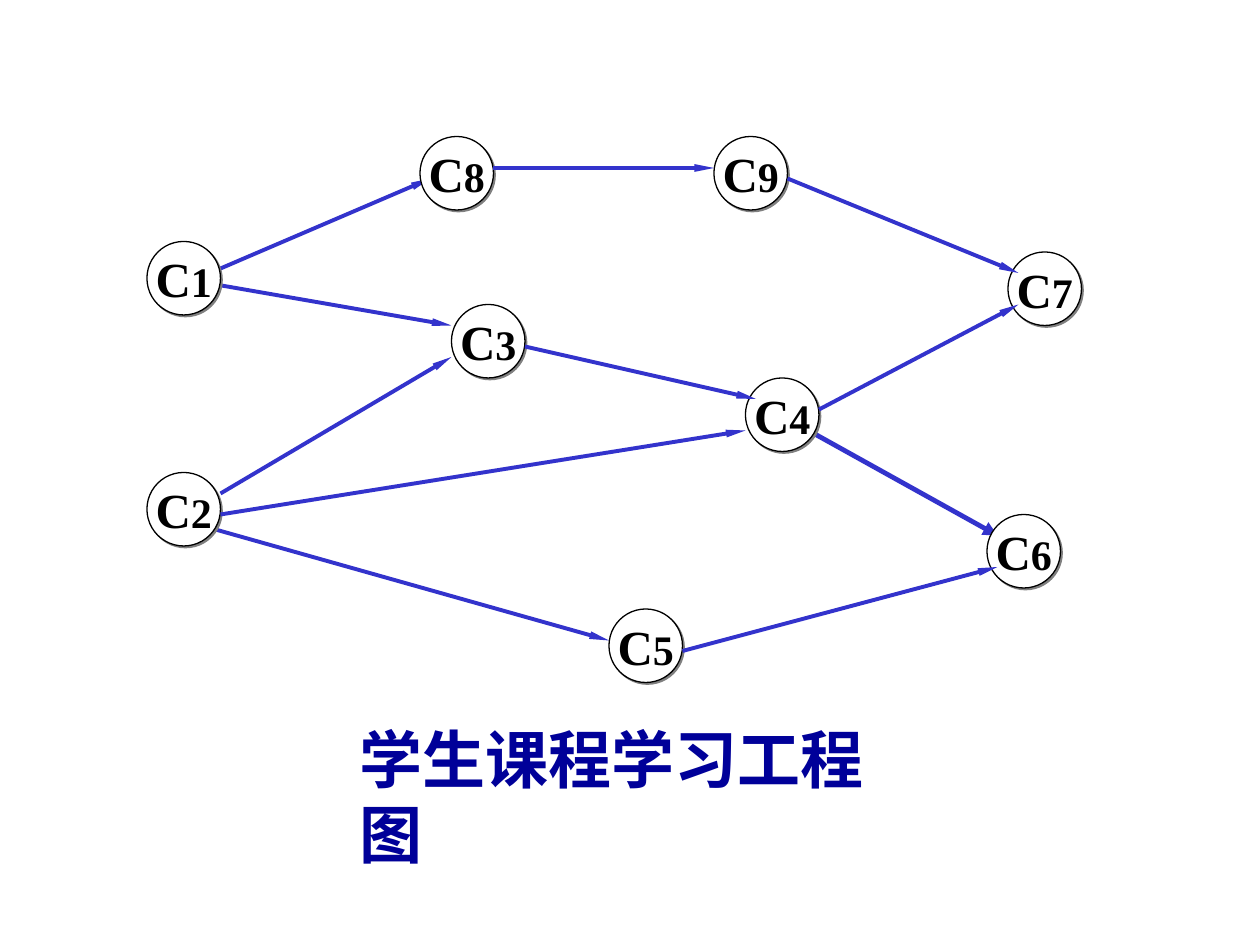
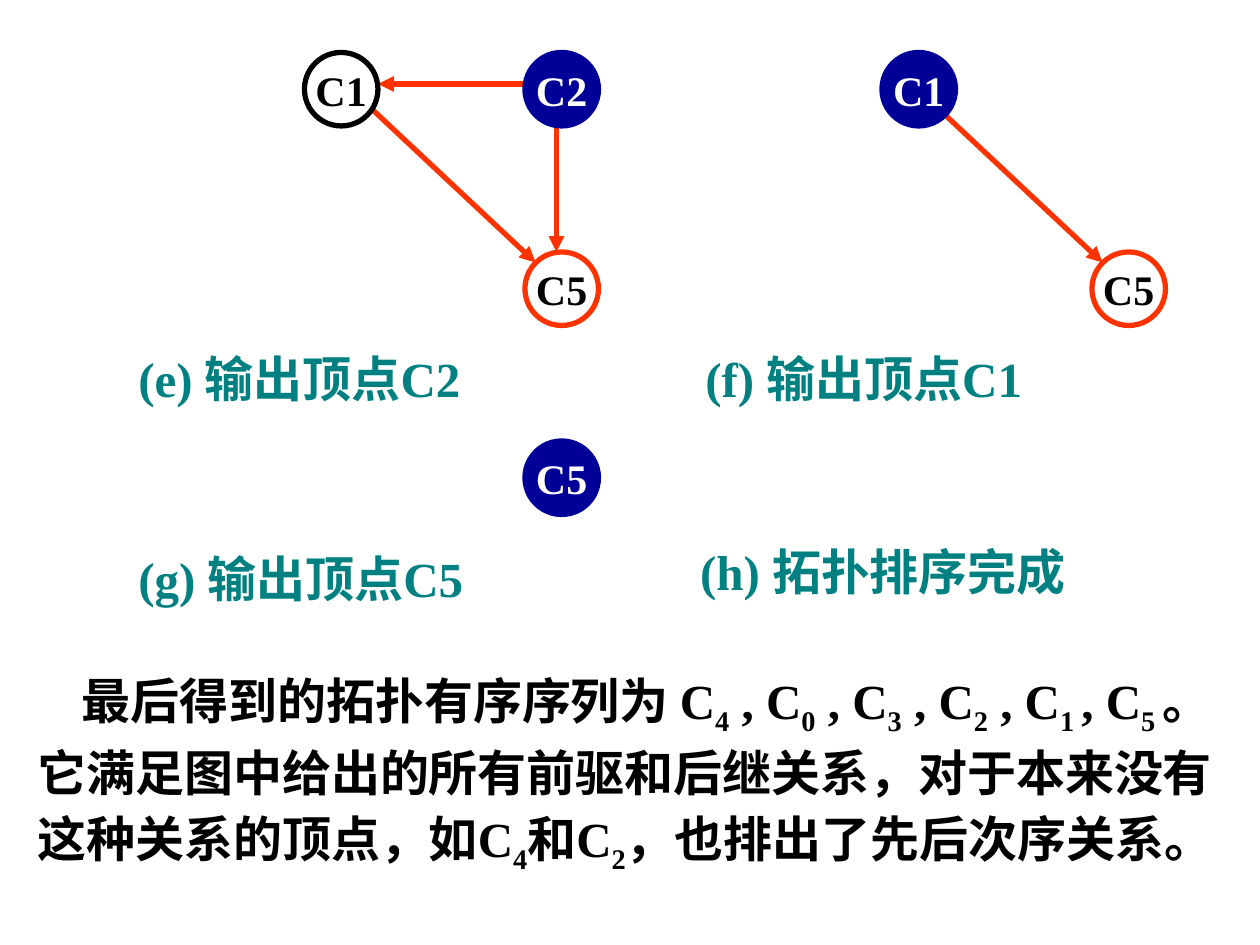
import pptx
import pptx.util
import pptx.dml.color
import pptx.enum.shapes
import pptx.enum.text
import pptx.oxml.ns
import lxml.etree

EMU_PER_PX = 7620
NODE_SIZE = 70
FONT = "Times New Roman"
COLOURS = {
    "white": "FFFFFF",
    "black": "000000",
    "navy": "000099",
    "blue": "3333CC",
    "red": "FF3300",
    "teal": "008080",
    "shadow": "808080",
}
NODE_STYLES = {
    "waiting": ("white", "black", "black"),
    "output": ("navy", "navy", "white"),
    "last": ("white", "red", "black"),
}
NARROW_HEAD = ("sm", "lg")
MEDIUM_HEAD = ("med", "med")

COURSES = {
    "C8": (260, 0),
    "C3": (290, 160),
    "C5": (440, 450),
    "C4": (570, 230),
    "C9": (540, 0),
    "C6": (800, 360),
    "C7": (820, 110),
    "C1": (0, 100),
    "C2": (0, 320),
}
HEAVY_LINK = (630, 280, 810, 380)
BACK_LINKS = [
    (50, 370, 440, 480),
    (70, 340, 290, 210),
    (60, 140, 290, 180),
    (60, 130, 270, 40),
]
FRONT_LINKS = [
    (330, 30, 540, 30),
    (360, 200, 580, 250),
    (70, 360, 570, 280),
    (610, 40, 830, 130),
    (640, 260, 830, 160),
    (510, 490, 810, 410),
]

C1_TO_C5 = (230, 50, 390, 200)
STEPS = [
    {
        "origin": (120, 50),
        "links": [(380, 30, 240, 30), (410, 70, 410, 190), C1_TO_C5],
        "nodes": [("C1", 170, 0, "waiting"), ("C2", 380, 0, "output"),
                  ("C5", 380, 190, "last")],
        "caption": ("(e) 输出顶点C2", 276, 353),
    },
    {
        "origin": (660, 50),
        "links": [C1_TO_C5],
        "nodes": [("C5", 380, 190, "last"), ("C1", 180, 0, "output")],
        "caption": ("(f) 输出顶点C1", 276, 348),
    },
    {
        "origin": (120, 420),
        "links": [],
        "nodes": [("C5", 380, 0, "output")],
        "caption": ("(g) 输出顶点C5", 96, 355),
    },
    {
        "origin": (655, 420),
        "links": [],
        "nodes": [],
        "caption": ("(h) 拓扑排序完成", 90, 383),
    },
]
CONCLUSION = [
    ("最后得到的拓扑有序序列为 C", "4"),
    (" , C", "0"),
    (" , C", "3"),
    (" , C", "2"),
    (" , C", "1 "),
    (", C", "5 "),
    ("。它满足图中给出的所有前驱和后继关系，对于本来没有这种关系的顶点，如C", "4"),
    ("和C", "2"),
    ("，也排出了先后次序关系。", ""),
]


def px(*lengths):
    return [pptx.util.Emu(length * EMU_PER_PX) for length in lengths]


def colour(name):
    return pptx.dml.color.RGBColor.from_string(COLOURS[name])


def add_child(parent, tag, **attributes):
    child = lxml.etree.SubElement(parent, pptx.oxml.ns.qn(tag))
    for name, value in attributes.items():
        child.set(name, str(value))
    return child


def add_span(para, text, size, ink, subscript=False):
    span = para.add_run()
    span.text = text
    span.font.name = FONT
    span.font.size = pptx.util.Pt(size)
    span.font.bold = True
    span.font.color.rgb = colour(ink)
    if subscript:
        span.font._element.set("baseline", "-25000")


def fit_frame(shape, wrap):
    frame = shape.text_frame
    frame.word_wrap = wrap
    frame.auto_size = pptx.enum.text.MSO_AUTO_SIZE.SHAPE_TO_FIT_TEXT
    return frame.paragraphs[0]


def draw_link(page, origin, link, ink, width, head):
    left, top = origin
    x1, y1, x2, y2 = link
    line = page.shapes.add_connector(
        pptx.enum.shapes.MSO_CONNECTOR.STRAIGHT,
        *px(left + x1, top + y1, left + x2, top + y2))
    line.line.color.rgb = colour(ink)
    line.line.width = pptx.util.Pt(width)
    head_width, head_length = head
    add_child(line.line._get_or_add_ln(), "a:tailEnd",
              type="triangle", w=head_width, len=head_length)
    add_child(line._element.spPr, "a:effectLst")


def draw_node(page, left, top, fill, outline, width):
    node = page.shapes.add_shape(
        pptx.enum.shapes.MSO_SHAPE.OVAL, *px(left, top, NODE_SIZE, NODE_SIZE))
    node.fill.solid()
    node.fill.fore_color.rgb = colour(fill)
    node.line.color.rgb = colour(outline)
    node.line.width = pptx.util.Pt(width)
    node.shadow.inherit = False
    node.text_frame.word_wrap = False
    node.text_frame.vertical_anchor = pptx.enum.text.MSO_ANCHOR.MIDDLE
    node.text_frame.paragraphs[0].alignment = pptx.enum.text.PP_ALIGN.CENTER
    return node


def draw_course(page, left, top, name):
    node = draw_node(page, left, top, "white", "black", 0.75)
    effects = node._element.spPr.find(pptx.oxml.ns.qn("a:effectLst"))
    shadow = add_child(effects, "a:outerShdw", dist=17960, dir=2700000,
                       algn="ctr", rotWithShape=0)
    add_child(shadow, "a:srgbClr", val=COLOURS["shadow"])
    para = node.text_frame.paragraphs[0]
    add_span(para, name[0], 28, "black")
    add_span(para, name[1:], 24, "black")


def draw_course_graph(page, origin):
    left, top = origin
    draw_link(page, origin, HEAVY_LINK, "blue", 2.75, MEDIUM_HEAD)
    for link in BACK_LINKS:
        draw_link(page, origin, link, "blue", 2.25, NARROW_HEAD)
    for name, (x, y) in COURSES.items():
        draw_course(page, left + x, top + y, name)
    for link in FRONT_LINKS:
        draw_link(page, origin, link, "blue", 2.25, NARROW_HEAD)


def place_title(page, box, text):
    title = page.shapes.title
    title.left, title.top, title.width, title.height = px(*box)
    para = fit_frame(title, False)
    title.text_frame.vertical_anchor = pptx.enum.text.MSO_ANCHOR.TOP
    para.alignment = pptx.enum.text.PP_ALIGN.LEFT
    add_span(para, text, 36, "navy")


def draw_step(page, origin, links, nodes, caption):
    left, top = origin
    for link in links:
        draw_link(page, origin, link, "red", 3, MEDIUM_HEAD)
    for name, x, y, style in nodes:
        fill, outline, ink = NODE_STYLES[style]
        node = draw_node(page, left + x, top + y, fill, outline, 3)
        add_span(node.text_frame.paragraphs[0], name, 24, ink)
    text, drop, width = caption
    box = page.shapes.add_textbox(*px(left, top + drop, width, 68))
    add_span(fit_frame(box, False), text, 28, "teal")


def write_conclusion(page, box):
    para = fit_frame(page.shapes.add_textbox(*px(*box)), True)
    para.line_spacing = 1.1
    para._p.get_or_add_pPr().set("indent", str(px(42)[0]))
    for text, index in CONCLUSION:
        add_span(para, text, 28, "black")
        if index:
            add_span(para, index, 28, "black", subscript=True)


def build_course_page(deck):
    page = deck.slides.add_slide(deck.slide_layouts.get_by_name("Title Only"))
    place_title(page, (330, 680, 564, 84), "学生课程学习工程图")
    draw_course_graph(page, (140, 130))


def build_sort_page(deck):
    page = deck.slides.add_slide(deck.slide_layouts.get_by_name("Blank"))
    for step in STEPS:
        draw_step(page, **step)
    write_conclusion(page, (24, 626, 1152, 284))


def main():
    deck = pptx.Presentation()
    deck.slide_width, deck.slide_height = px(1200, 900)
    build_course_page(deck)
    build_sort_page(deck)
    deck.save("out.pptx")


if __name__ == "__main__":
    main()
